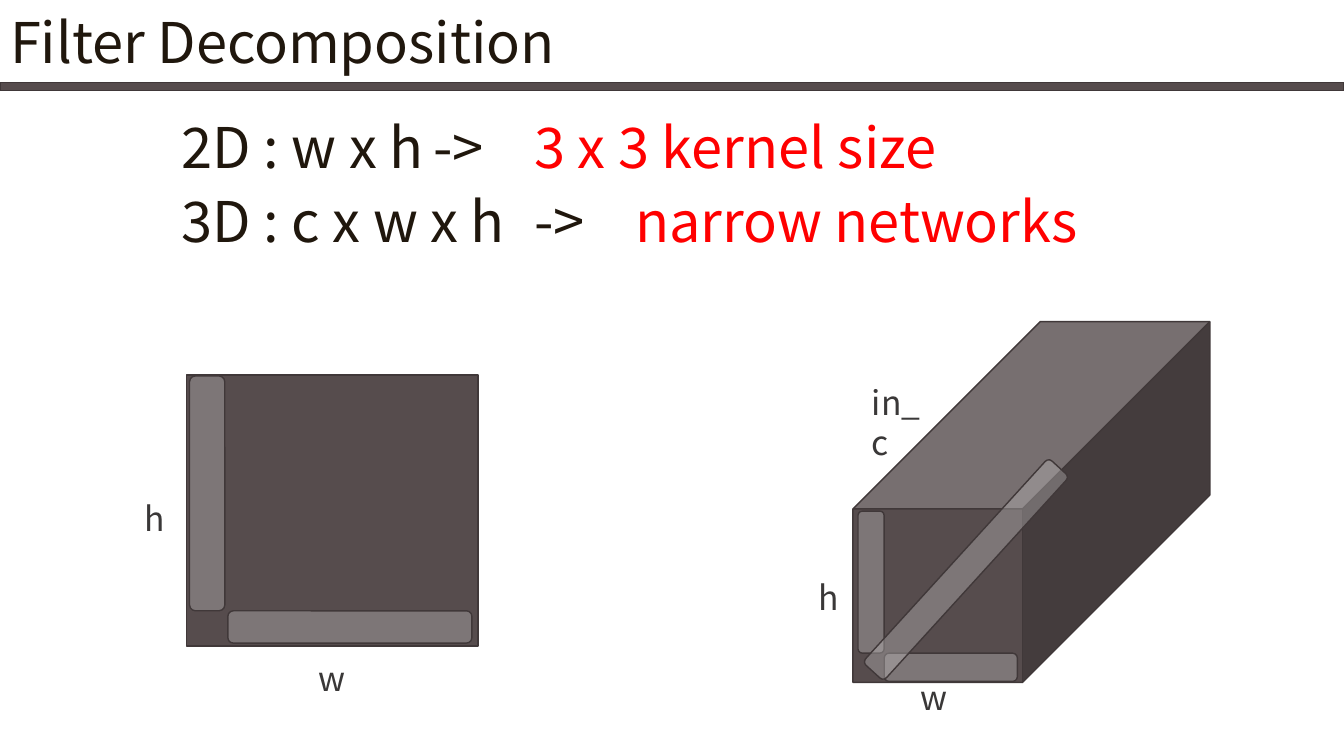
import pptx
import pptx.dml.color
import pptx.enum.shapes
import pptx.enum.text
import pptx.oxml
import pptx.oxml.ns
import pptx.util
from pptx.util import Inches

COLORS = {
    "block": "564C4D",
    "outline": "403839",
    "strip": "B9B6B6",
    "heading": "20170D",
    "accent": "FF0000",
    "label": "3A3838",
}
SHAPES = pptx.enum.shapes.MSO_SHAPE
TEXT = pptx.enum.text


def set_all(target, values):
    for name, value in values.items():
        setattr(target, name, value)


def rgb(name):
    return pptx.dml.color.RGBColor.from_string(COLORS[name])


def make_element(xml):
    return pptx.oxml.parse_xml(xml.format(ns=pptx.oxml.ns.nsdecls("a")))


class SlideBuilder:
    font_name = "Noto Sans CJK KR"
    heading_size = 40
    label_size = 24
    strip_alpha = 40

    def __init__(self, page):
        self.page = page

    def place(self, shape, left, top, width, height):
        set_all(shape, {"left": Inches(left), "top": Inches(top),
                        "width": Inches(width), "height": Inches(height)})

    def span(self, para, text, size, color):
        span = para.add_run()
        span.text = text
        set_all(span.font, {"name": self.font_name, "size": pptx.util.Pt(size)})
        span.font.color.rgb = rgb(color)

    def title(self, text, box):
        title = self.page.shapes.title
        self.place(title, *box)
        set_all(title.text_frame, {"word_wrap": True, "auto_size": TEXT.MSO_AUTO_SIZE.NONE,
                                   "vertical_anchor": TEXT.MSO_ANCHOR.MIDDLE})
        para = title.text_frame.paragraphs[0]
        set_all(para, {"alignment": TEXT.PP_ALIGN.LEFT, "line_spacing": 0.9})
        self.span(para, text, self.heading_size, "heading")

    def body(self, lines, box):
        body = self.page.placeholders[1]
        self.place(body, *box)
        frame = body.text_frame
        set_all(frame, {"word_wrap": True, "auto_size": TEXT.MSO_AUTO_SIZE.NONE,
                        "vertical_anchor": TEXT.MSO_ANCHOR.TOP})
        for index, (size_text, meaning, arrow_stop, meaning_stop) in enumerate(lines):
            para = frame.add_paragraph() if index else frame.paragraphs[0]
            set_all(para, {"alignment": TEXT.PP_ALIGN.LEFT, "line_spacing": 0.9,
                           "space_before": pptx.util.Pt(10)})
            # No bullet, and tab stops for the arrow and its meaning
            properties = para._p.get_or_add_pPr()
            properties.set("marL", "0")
            properties.set("indent", "0")
            properties.append(make_element("<a:buNone {ns}/>"))
            stops = "".join(f'<a:tab pos="{Inches(stop)}" algn="l"/>'
                            for stop in (arrow_stop, meaning_stop))
            properties.append(make_element("<a:tabLst {ns}>" + stops + "</a:tabLst>"))
            self.span(para, f"{size_text}\t->\t", self.heading_size, "heading")
            self.span(para, meaning, self.heading_size, "accent")

    def block(self, kind, box, fill="block"):
        shape = self.page.shapes.add_shape(kind, *map(Inches, box))
        shape.shadow.inherit = False
        shape.fill.solid()
        shape.fill.fore_color.rgb = rgb(fill)
        shape.line.color.rgb = rgb("outline")
        shape.line.width = pptx.util.Pt(1)
        return shape

    def strip(self, box, rotation=0):
        shape = self.block(SHAPES.ROUNDED_RECTANGLE, box, "strip")
        shape.rotation = rotation
        color = shape.fill._xPr.find(".//" + pptx.oxml.ns.qn("a:srgbClr"))
        color.append(make_element(f'<a:alpha {{ns}} val="{self.strip_alpha * 1000}"/>'))

    def label(self, text, box, wrap=False):
        label = self.page.shapes.add_textbox(*map(Inches, box))
        label.text_frame.word_wrap = wrap
        self.span(label.text_frame.paragraphs[0], text, self.label_size, "label")


def main():
    deck = pptx.Presentation()
    set_all(deck, {"slide_width": Inches(13.33), "slide_height": Inches(7.5)})
    builder = SlideBuilder(deck.slides.add_slide(deck.slide_layouts[1]))

    # Heading with its rule
    builder.block(SHAPES.RECTANGLE, (0, 0.82, 13.33, 0.08))
    builder.title("Filter Decomposition", (0, 0, 13.33, 0.9))

    # Kernel shapes and what they lead to
    builder.body([
        ("2D : w x h", "3 x 3 kernel size", 3.9, 4.76),
        ("3D : c x w x h", "narrow networks", 3.97, 4.83),
    ], (1.7, 1.14, 10.3, 1.56))

    # Flat filter and deep filter
    builder.block(SHAPES.RECTANGLE, (1.85, 3.72, 2.89, 2.69))
    cube = builder.block(SHAPES.CUBE, (8.46, 3.19, 3.54, 3.58))
    cube.adjustments[0] = 0.525

    # Dimension labels
    for text, left, top, width in [
        ("w", 3.06, 6.48, 0.46),
        ("h", 1.33, 4.89, 0.41),
        ("h", 8.02, 5.67, 0.41),
        ("w", 9.03, 6.67, 0.46),
    ]:
        builder.label(text, (left, top, width, 0.5))
    builder.label("in_c", (8.55, 3.74, 0.8, 0.5), wrap=True)

    # One-dimensional strips along each side
    for box, rotation in [
        ((1.88, 3.73, 0.35, 2.33), 0),
        ((3.31, 5.01, 0.32, 2.42), 90),
        ((8.51, 5.07, 0.26, 1.41), 0),
        ((9.29, 5.96, 0.28, 1.32), 90),
        ((9.44, 4.28, 0.28, 2.74), 42.3),
    ]:
        builder.strip(box, rotation)

    deck.save("out.pptx")


if __name__ == "__main__":
    main()
